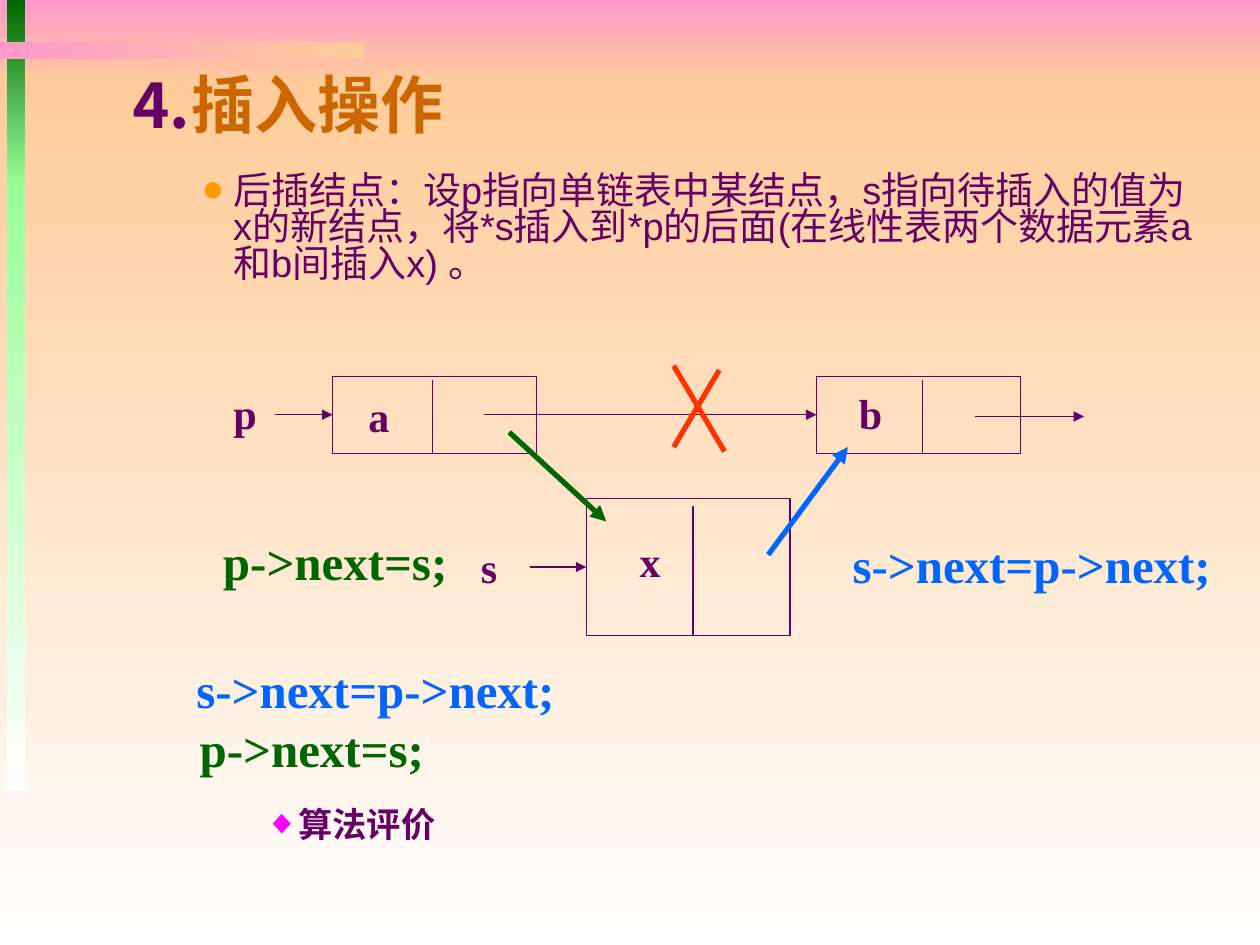
from lxml import etree
from pptx import Presentation
from pptx.dml.color import RGBColor
from pptx.enum.shapes import MSO_CONNECTOR, MSO_SHAPE
from pptx.enum.text import MSO_ANCHOR, MSO_AUTO_SIZE, PP_ALIGN
from pptx.oxml.ns import qn
from pptx.util import Pt

RECTANGLE = MSO_SHAPE.RECTANGLE
STRAIGHT = MSO_CONNECTOR.STRAIGHT
TOP, MIDDLE, BOTTOM = MSO_ANCHOR.TOP, MSO_ANCHOR.MIDDLE, MSO_ANCHOR.BOTTOM
LEFT, CENTER = PP_ALIGN.LEFT, PP_ALIGN.CENTER
NO_AUTOFIT = MSO_AUTO_SIZE.NONE
LEFT_SIDE = 1

PURPLE = RGBColor(0x66, 0x00, 0x66)
BROWN = RGBColor(0xCC, 0x66, 0x00)
GREEN = RGBColor(0x00, 0x66, 0x00)
LIGHT_GREEN = RGBColor(0x99, 0xFF, 0x99)
BLUE = RGBColor(0x00, 0x66, 0xFF)
RED = RGBColor(0xFF, 0x33, 0x00)
ORANGE = RGBColor(0xFF, 0x99, 0x00)
MAGENTA = RGBColor(0xFF, 0x00, 0xFF)
PINK = RGBColor(0xFF, 0x99, 0xCC)
PEACH = RGBColor(0xFF, 0xCC, 0x99)
WHITE = RGBColor(0xFF, 0xFF, 0xFF)

SERIF, SANS, CJK = "Times New Roman", "Arial", "Noto Sans CJK SC"
THIN, THICK = 0.75, 3
DOWNWARD, RIGHTWARD = 270, 0

# Content: places are (left, top, width, height) in points
BANDS = [
    ((0, 0, 720, 48), PINK, PEACH, DOWNWARD),
    ((0, 48, 720, 492), PEACH, WHITE, DOWNWARD),
    ((4, 0, 10.3, 106), GREEN, LIGHT_GREEN, DOWNWARD),
    ((4, 105, 10.3, 346.5), LIGHT_GREEN, WHITE, DOWNWARD),
    ((0, 24, 208, 10), PINK, PEACH, RIGHTWARD),
]

TITLE = [("⒋", PURPLE), ("插入操作", BROWN)]
TITLE_PLACE = (66, 30.5, 438, 54)

# text, place, level, left margin, size, bold, bullet, bullet colour
BULLETS = [
    ("后插结点：设p指向单链表中某结点，s指向待插入的值为x的新结点，"
     "将*s插入到*p的后面(在线性表两个数据元素a和b间插入x) 。",
     (0, 96.5, 694, 88.5), 3, 126, 21.7, False, "●", ORANGE),
    ("算法评价", (0, 460, 327.5, 33), 4, 162, 19.6, True, "◆", MAGENTA),
]

# name: node place, divider x, divider top, letter centre
NODES = {
    "a": ((190, 215, 116.5, 44), 247, 217, (216.5, 237.5)),
    "b": ((466.5, 215, 116.5, 44), 527, 217, (497.5, 236)),
    "x": ((335, 285, 116.5, 78), 396, 289, (371.5, 320.5)),
}
POINTER_NAMES = [("p", (140, 236)), ("s", (279.5, 324))]
# starting x, node reached at the middle of its left side
NODE_ARROWS = [(157, "a"), (276.5, "b"), (303, "x")]
# start, end, colour, weight, arrowhead
FREE_LINES = [
    ((557, 238), (619.5, 238), PURPLE, THIN, True),
    ((411, 211.5), (385, 255.5), RED, THICK, False),
    ((385, 209), (414, 258), RED, THICK, False),
    ((291, 247), (346.5, 298), GREEN, THICK, True),
    ((439, 317), (484.5, 255.5), BLUE, THICK, True),
]

SET_S, SET_P = ("s->next=p->next;", BLUE), ("p->next=s;", GREEN)
CODE = [
    ((475, 301.5, 229, 41), [(*SET_S, CENTER)]),
    ((106.5, 300, 170, 41), [(*SET_P, CENTER)]),
    ((100, 373, 229, 75), [(*SET_S, CENTER), (" " + SET_P[0], GREEN, LEFT)]),
]


def put(shape, place):
    shape.left, shape.top, shape.width, shape.height = map(Pt, place)


def prepare(box, anchor):
    frame = box.text_frame
    frame.word_wrap = True
    frame.auto_size = NO_AUTOFIT
    frame.vertical_anchor = anchor
    return frame


def add_span(para, text, font, size, color, bold=True):
    span = para.add_run()
    span.text = text
    span.font.name, span.font.size, span.font.bold = font, Pt(size), bold
    span.font.color.rgb = color
    latin = span.font._element.find(qn("a:latin"))
    east_asian = etree.Element(qn("a:ea"), typeface=CJK)
    latin.addnext(east_asian)


def add_text(place, lines, size):
    frame = prepare(page.shapes.add_textbox(*map(Pt, place)), MIDDLE)
    for index, (text, color, align) in enumerate(lines):
        para = frame.add_paragraph() if index else frame.paragraphs[0]
        para.alignment = align
        add_span(para, text, SERIF, size, color)


def add_letter(letter, center):
    x, y = center
    add_text((x - 15, y - 18, 30, 36), [(letter, PURPLE, CENTER)], 24)


def add_line(start, end, color=PURPLE, weight=THIN, arrow=False):
    line = page.shapes.add_connector(STRAIGHT, *map(Pt, (*start, *end)))
    line.line.color.rgb = color
    line.line.width = Pt(weight)
    if arrow:
        etree.SubElement(line.line._get_or_add_ln(), qn("a:tailEnd"), type="triangle")
    etree.SubElement(line._element.spPr, qn("a:effectLst"))
    return line


def set_bullet(para, margin, mark, color):
    properties = para._p.get_or_add_pPr()
    properties.set("marL", str(Pt(margin)))
    properties.set("indent", str(Pt(-18)))
    holder = etree.SubElement(properties, qn("a:buClr"))
    etree.SubElement(holder, qn("a:srgbClr"), val=str(color))
    etree.SubElement(properties, qn("a:buFont"), typeface=SANS)
    etree.SubElement(properties, qn("a:buChar"), char=mark)


deck = Presentation()
deck.slide_width, deck.slide_height = Pt(720), Pt(540)
page = deck.slides.add_slide(deck.slide_layouts[3])
title, *bodies = page.placeholders

# Background bands
for place, first, last, angle in BANDS:
    band = page.shapes.add_shape(RECTANGLE, *map(Pt, place))
    band.shadow.inherit = False
    band.line.fill.background()
    band.fill.gradient()
    band.fill.gradient_angle = angle
    for stop, color in zip(band.fill.gradient_stops, (first, last)):
        stop.color.rgb = color

# Linked list nodes
nodes = {}
for name, (place, divider, divider_top, center) in NODES.items():
    node = nodes[name] = page.shapes.add_shape(RECTANGLE, *map(Pt, place))
    node.shadow.inherit = False
    node.fill.background()
    node.line.color.rgb = PURPLE
    node.line.width = Pt(THIN)
    add_line((divider, divider_top), (divider, place[1] + place[3]))
    add_letter(name, center)

# Pointers and links
for name, center in POINTER_NAMES:
    add_letter(name, center)
for start_x, name in NODE_ARROWS:
    left, top, _, height = NODES[name][0]
    y = top + height / 2
    arrow = add_line((start_x, y), (left, y), arrow=True)
    arrow.end_connect(nodes[name], LEFT_SIDE)
for line in FREE_LINES:
    add_line(*line)

# Statements
for place, lines in CODE:
    add_text(place, lines, 28)

# Title and bullets, brought in front of the bands
put(title, TITLE_PLACE)
heading = prepare(title, BOTTOM).paragraphs[0]
heading.alignment = LEFT
for text, color in TITLE:
    add_span(heading, text, CJK, 36, color)

for body, (text, place, level, margin, size, bold, mark, color) in zip(bodies, BULLETS):
    put(body, place)
    para = prepare(body, TOP).paragraphs[0]
    para.level = level
    para.line_spacing = 0.8
    para.space_before = Pt(7)
    set_bullet(para, margin, mark, color)
    add_span(para, text, SANS, size, PURPLE, bold)

for holder in (title, *bodies):
    holder._element.getparent().append(holder._element)

deck.save("out.pptx")
